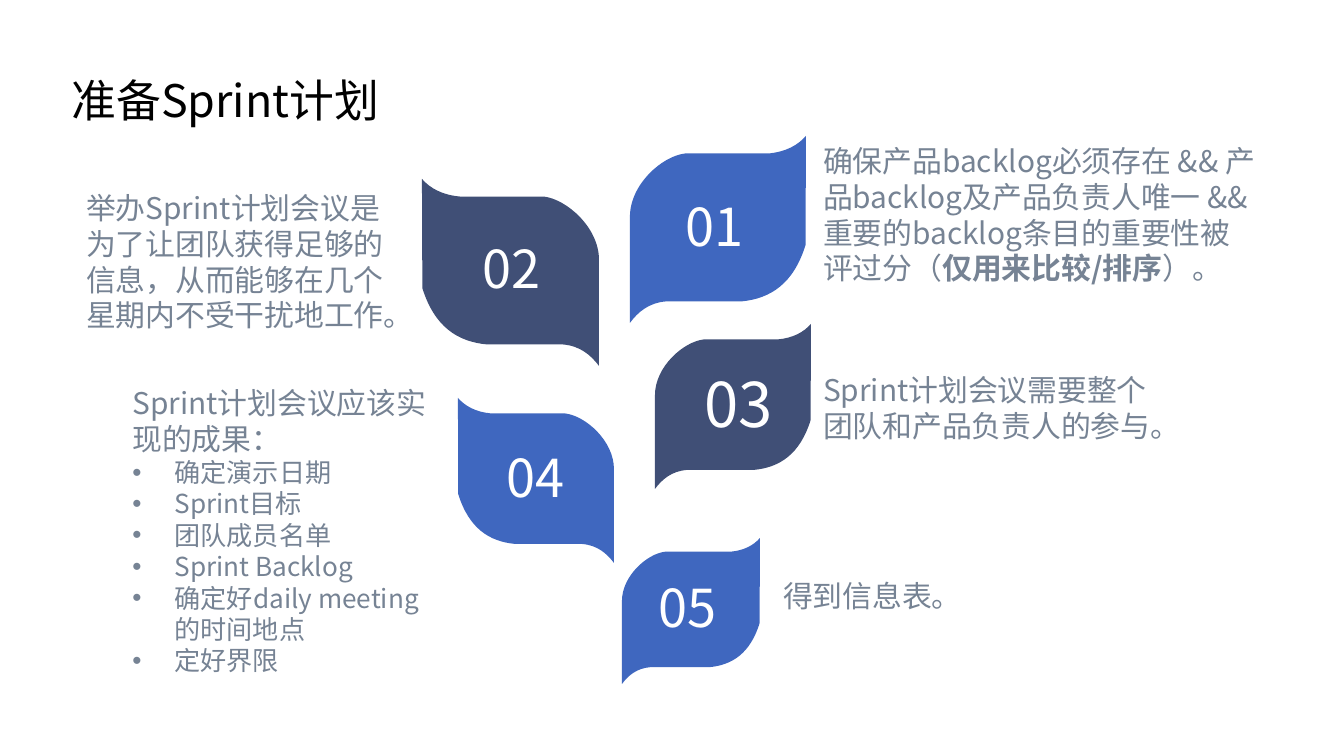
from lxml.etree import SubElement
from pptx import Presentation
from pptx.dml.color import RGBColor
from pptx.enum.text import MSO_ANCHOR, MSO_AUTO_SIZE, PP_ALIGN
from pptx.oxml.ns import qn
from pptx.util import Pt

SCALE = 9144000 / 1344  # EMU per px
CJK, SANS = "Noto Sans CJK SC", "Noto Sans"
BLUE, NAVY, GREY, WHITE, BLACK = "3F67BF", "404F76", "768394", "FFFFFF", "000000"


def px(length):
    return round(length * SCALE)


def fill_text(box, place, color, lines):
    """Place a box; each line is (size, bullet, [(text, font, bold), ...])."""
    box.left, box.top, box.width, box.height = map(px, place)
    frame = box.text_frame
    frame.word_wrap = True
    frame.auto_size = MSO_AUTO_SIZE.NONE
    frame.vertical_anchor = MSO_ANCHOR.TOP
    for number, (size, bullet, spans) in enumerate(lines):
        para = frame.add_paragraph() if number else frame.paragraphs[0]
        props = para._p.get_or_add_pPr()
        indent = px(42) if bullet else 0
        props.set("marL", str(indent))
        props.set("indent", str(-indent))
        if bullet:
            SubElement(props, qn("a:buChar"), char="•")
        else:
            SubElement(props, qn("a:buNone"))
        para.alignment = PP_ALIGN.LEFT
        para.space_before = Pt(0)
        para.line_spacing = Pt(size * 1.2)
        for text, font, bold in spans:
            span = para.add_run()
            span.text = text
            span.font.size = Pt(size)
            span.font.bold = bold
            span.font.color.rgb = RGBColor.from_string(color)
            span.font.name = font
            SubElement(span._r.get_or_add_rPr(), qn("a:ea"), typeface=font)


deck = Presentation()
deck.slide_width, deck.slide_height = px(1344), px(756)
page = deck.slides.add_slide(deck.slide_layouts[1])

# Leaf outline in percent of its box: start point, then cubic curves
LEAF_START = (100, 0)
LEAF_CURVES = [
    [(95.4, 5), (88.5, 8.6), (78.6, 9.4)],
    [(62.6, 9.4), (47, 9.4), (31.3, 9.4)],
    [(18.3, 10.8), (0, 26), (0, 43.2)],
    [(0, 62), (0, 81), (0, 100)],
    [(4.6, 94.2), (10.7, 89.2), (20.6, 88.5)],
    [(35, 88.5), (49, 88.5), (63.4, 88.5)],
    [(80, 87), (93, 79), (99.8, 58.3)],
    [(99.8, 39), (100, 19), (100, 0)],
]

# Leaves with their numbers: leaf box, mirrored, colour, number box, size
leaves = [
    ((630, 136, 176, 187), False, BLUE, (672, 188, 89, 77), 28),
    ((422, 179, 177, 187), True, NAVY, (469, 230, 89, 77), 28),
    ((655, 324, 156, 165), False, NAVY, (691, 359, 101, 89), 33),
    ((458, 398, 156, 165), True, BLUE, (493, 439, 89, 77), 28),
    ((622, 538, 138, 146), False, BLUE, (645, 569, 89, 77), 28),
]
for number, ((left, top, width, height), mirrored, color, place, size) in enumerate(leaves, 1):
    start, *curves = [
        [(px(width * (100 - x if mirrored else x) / 100), px(height * y / 100)) for x, y in part]
        for part in [[LEAF_START], *LEAF_CURVES]]
    builder = page.shapes.build_freeform(*start[0])
    builder.add_line_segments([curve[-1] for curve in curves], close=True)
    leaf = builder.convert_to_shape(px(left), px(top))
    # Bend each straight segment into its curve
    for segment, curve in zip(list(leaf._element.iter(qn("a:lnTo"))), curves):
        segment.tag = qn("a:cubicBezTo")
        segment.clear()
        for x, y in curve:
            SubElement(segment, qn("a:pt"), x=str(x), y=str(y))
    leaf.shadow.inherit = False
    leaf.fill.solid()
    leaf.fill.fore_color.rgb = RGBColor.from_string(color)
    leaf.line.fill.background()
    fill_text(page.shapes.add_textbox(0, 0, 0, 0), place, WHITE,
              [(size, False, [(f"{number:02}", CJK, False)])])

# Title
fill_text(page.shapes.title, (58, 66, 337, 67), BLACK,
          [(24, False, [("准备Sprint计划", CJK, False)])])

# Expected results list
results = ["确定演示日期", "Sprint目标", "团队成员名单", "Sprint Backlog",
           "确定好daily meeting的时间地点", "定好界限"]
fill_text(page.placeholders[1], (119, 378, 337, 339), GREY,
          [(16, False, [("Sprint计划会议应该实现的成果：", CJK, False)])]
          + [(14, True, [(result, CJK, False)]) for result in results])

# Notes beside the other leaves
notes = [
    ((810, 136, 461, 159), [
        ("确保产品backlog必须存在 && 产品backlog及产品负责人唯一 && "
         "重要的backlog条目的重要性被评过分（", CJK, False),
        ("仅用来比较/排序", CJK, True),
        ("）。", CJK, False)]),
    ((73, 183, 331, 159), [
        ("举办Sprint计划会议是为了让团队获得足够的信息，"
         "从而能够在几个星期内不受干扰地工作。", CJK, False)]),
    ((810, 365, 374, 86), [
        ("Sprint", CJK, False),
        ("计划会议需要整个团队和产品负责人的参与。", SANS, False)]),
    ((770, 571, 374, 50), [("得到信息表。", SANS, False)]),
]
for place, spans in notes:
    fill_text(page.shapes.add_textbox(0, 0, 0, 0), place, GREY, [(16, False, spans)])

deck.save("out.pptx")
